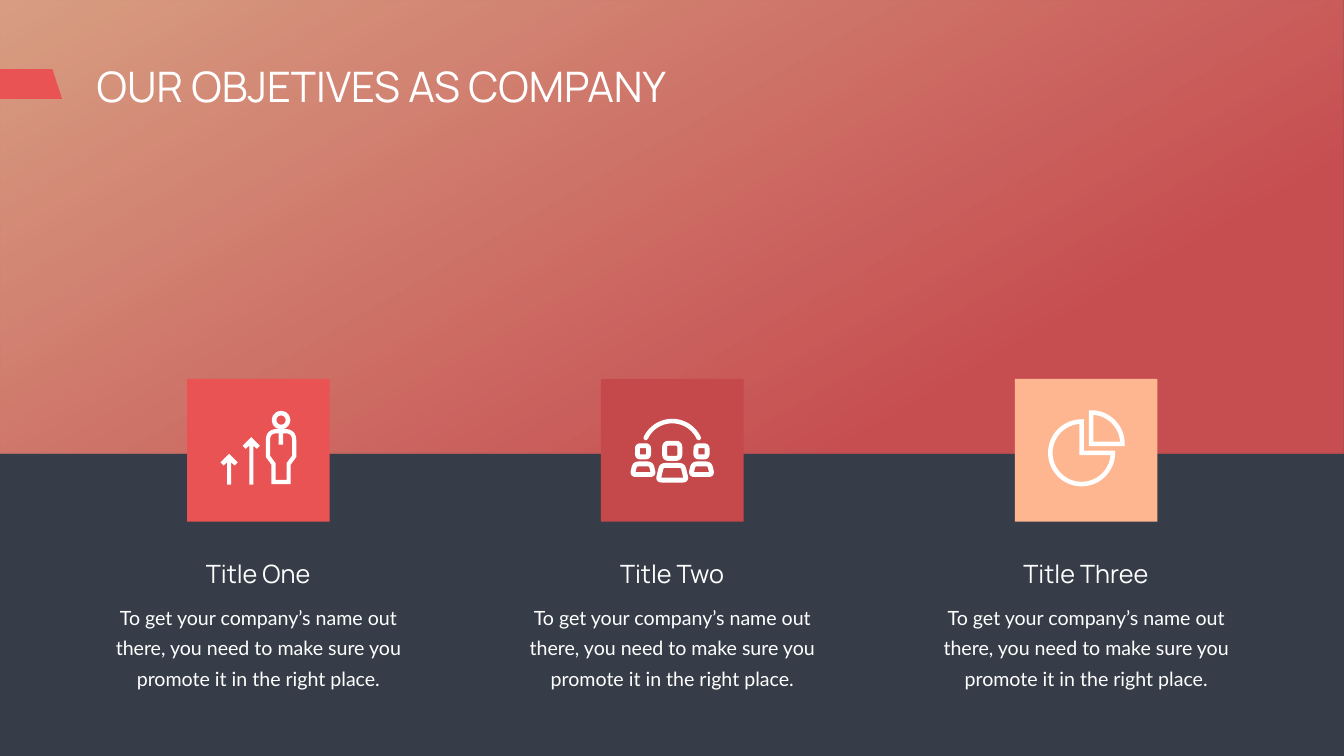
"""Build a slide with three company objectives, each under an icon tile."""
import math

import lxml.etree
import pptx
import pptx.dml.color
import pptx.enum.shapes
import pptx.enum.text
import pptx.oxml.ns
import pptx.util

Inches = pptx.util.Inches
Pt = pptx.util.Pt
qn = pptx.oxml.ns.qn
SHAPE = pptx.enum.shapes.MSO_SHAPE
ALIGN = pptx.enum.text.PP_ALIGN
COLORS = {"navy": "363D48", "coral": "E95354", "crimson": "C5494B",
          "peach": "FEB691", "white": "FFFFFF"}
BODY = ("To get your company’s name out there, you need to make sure you "
        "promote it in the right place.")
STROKE = 6.5


def rgb(name):
    return pptx.dml.color.RGBColor.from_string(COLORS[name])


def paint(sp, color):
    sp.shadow.inherit = False
    sp.fill.solid()
    sp.fill.fore_color.rgb = rgb(color)
    sp.line.fill.background()
    return sp


def outline(sp, width=STROKE, join="round"):
    sp.shadow.inherit = False
    sp.fill.background()
    sp.line.color.rgb = rgb("white")
    sp.line.width = Pt(width)
    ln = sp.element.spPr.find(qn("a:ln"))
    lxml.etree.SubElement(ln, qn("a:" + join))
    if join == "round":
        ln.set("cap", "rnd")
    return sp


def add_box(shapes, kind, x, y, w, h):
    return shapes.add_shape(kind, Inches(x), Inches(y), Inches(w), Inches(h))


def add_outline(shapes, x, y, points, close=True):
    pts = [(Inches(x + dx), Inches(y + dy)) for dx, dy in points]
    builder = shapes.build_freeform(*pts[0])
    builder.add_line_segments(pts[1:], close=close)
    return builder.convert_to_shape()


def arc(cx, cy, radius, start, end, steps=48):
    angles = [math.radians(start + (end - start) * i / steps) for i in range(steps + 1)]
    return [(cx + radius * math.cos(a), cy - radius * math.sin(a)) for a in angles]


def rounded(corners, steps=8):
    """Return the points of a polygon whose (x, y, radius) corners are curved."""
    points = []
    for i, (x, y, radius) in enumerate(corners):
        ends = []
        for nx, ny, _ in (corners[i - 1], corners[(i + 1) % len(corners)]):
            k = radius / math.dist((x, y), (nx, ny))
            ends.append((x + (nx - x) * k, y + (ny - y) * k))
        (ax, ay), (bx, by) = ends
        for t in ([j / steps for j in range(steps + 1)] if radius else [0]):
            u = 1 - t
            points.append((u * u * ax + 2 * u * t * x + t * t * bx,
                           u * u * ay + 2 * u * t * y + t * t * by))
    return points


def add_text(s, x, y, w, h, text, size, font, align=ALIGN.LEFT, spacing=None):
    tf = s.shapes.add_textbox(Inches(x), Inches(y), Inches(w), Inches(h)).text_frame
    tf.word_wrap = True
    tf.auto_size = pptx.enum.text.MSO_AUTO_SIZE.SHAPE_TO_FIT_TEXT
    tf.text = text
    p = tf.paragraphs[0]
    p.alignment = align
    if spacing:
        p.line_spacing = Pt(spacing)
    r = p.runs[0]
    r.font.name = font
    r.font.size = Pt(size)
    r.font.color.rgb = rgb("white")


def draw_growth(shapes, x, y):
    """Draw a person beside two rising arrows, around the centre x, y."""
    for dx, top in ((-0.58, 0.07), (-0.14, -0.26)):
        half = [(0.04, 0.68 - top), (0.04, 0.17), (0.11, 0.23), (0.17, 0.17)]
        points = half + [(0, 0)] + [(-px, py) for px, py in reversed(half)]
        paint(add_outline(shapes, x + dx, y + top, points), "white")
    cx = x + 0.45
    half = [(0.26, -0.38, 0.18), (0.26, 0.12, 0), (0.15, 0.27, 0), (0.15, 0.63, 0)]
    body = half + [(-px, py, radius) for px, py, radius in reversed(half)]
    outline(add_outline(shapes, cx, y, rounded(body)), 6, "miter")
    paint(add_box(shapes, SHAPE.RECTANGLE, cx - 0.05, y - 0.38, 0.09, 0.27), "white")
    outline(add_box(shapes, SHAPE.OVAL, cx - 0.14, y - 0.74, 0.28, 0.28))


def draw_team(shapes, x, y):
    """Draw three people under an arc, around the centre x, y."""
    for dx, head_y, head, body_y, body_h, top, bottom in (
            (0, -0.14, 0.3, 0.3, 0.29, 0.21, 0.28),
            (-0.58, -0.09, 0.22, 0.27, 0.21, 0.16, 0.21),
            (0.58, -0.09, 0.22, 0.27, 0.21, 0.16, 0.21)):
        sp = add_box(shapes, SHAPE.ROUNDED_RECTANGLE, x + dx - head / 2, y + head_y, head, head)
        sp.adjustments[0] = 0.22
        outline(sp, 7)
        body = [(-top, 0, 0.07), (top, 0, 0.07),
                (bottom, body_h, 0.07), (-bottom, body_h, 0.07)]
        outline(add_outline(shapes, x + dx, y + body_y, rounded(body)), 7)
    outline(add_outline(shapes, x, y, arc(0, 0, 0.58, 25, 155), close=False))


def draw_pie(shapes, x, y):
    """Draw a pie with one quarter pulled out, around the centre x, y."""
    for cx, cy, start, end in ((-0.09, 0.05, 90, 360), (0.1, -0.13, 0, 90)):
        points = [(cx, cy)] + arc(cx, cy, 0.62, start, end)
        outline(add_outline(shapes, x, y, points), join="miter")


def add_header(s, x, y, w, h):
    """Place the gradient panel with its flag and heading."""
    sp = add_box(s.shapes, SHAPE.RECTANGLE, x, y, w, h)
    sp.shadow.inherit = False
    sp.line.fill.background()
    sp.fill.gradient()
    sp.fill.gradient_angle = 300
    for stop, color, position in zip(sp.fill.gradient_stops, ("peach", "coral"), (0, 0.76)):
        stop.color.rgb = rgb(color)
        stop.position = position
    for clr in sp.element.spPr.iter(qn("a:srgbClr")):
        lxml.etree.SubElement(clr, qn("a:alpha")).set("val", "80000")
    add_text(s, x + 1.82, y + 1.16, 16.06, 1.11, "OUR OBJETIVES AS COMPANY", 60, "Manrope")
    flag = [(0, 0), (1.04, 0), (1.23, 0.59), (0, 0.59)]
    paint(add_outline(s.shapes, x, y + 1.37, flag), "coral")


def add_objective(s, x, y, w, title, color, draw_icon):
    """Place one column: tile with icon, title and text, centred in its width."""
    cx, tile = x + w / 2, 2.83
    paint(add_box(s.shapes, SHAPE.RECTANGLE, cx - tile / 2, y, tile, tile), color)
    add_text(s, x, y + 4.33, w, 1.85, BODY, 28, "Lato", ALIGN.CENTER, 43)
    add_text(s, cx - 2.1, y + 3.51, 4.19, 0.71, title, 36, "Manrope", ALIGN.CENTER)
    draw_icon(s.shapes.add_group_shape().shapes, cx, y + tile / 2)


def main():
    prs = pptx.Presentation()
    prs.slide_width, prs.slide_height = Inches(26.66), Inches(15)
    s = prs.slides.add_slide(prs.slide_layouts[6])
    s.background.fill.solid()
    s.background.fill.fore_color.rgb = rgb("navy")
    add_header(s, 0, 0, 26.66, 9)
    objectives = (("Title One", "coral", draw_growth),
                  ("Title Two", "crimson", draw_team),
                  ("Title Three", "peach", draw_pie))
    for i, objective in enumerate(objectives):
        add_objective(s, 1.96 + 8.21 * i, 7.52, 6.33, *objective)
    prs.save("out.pptx")


if __name__ == "__main__":
    main()
